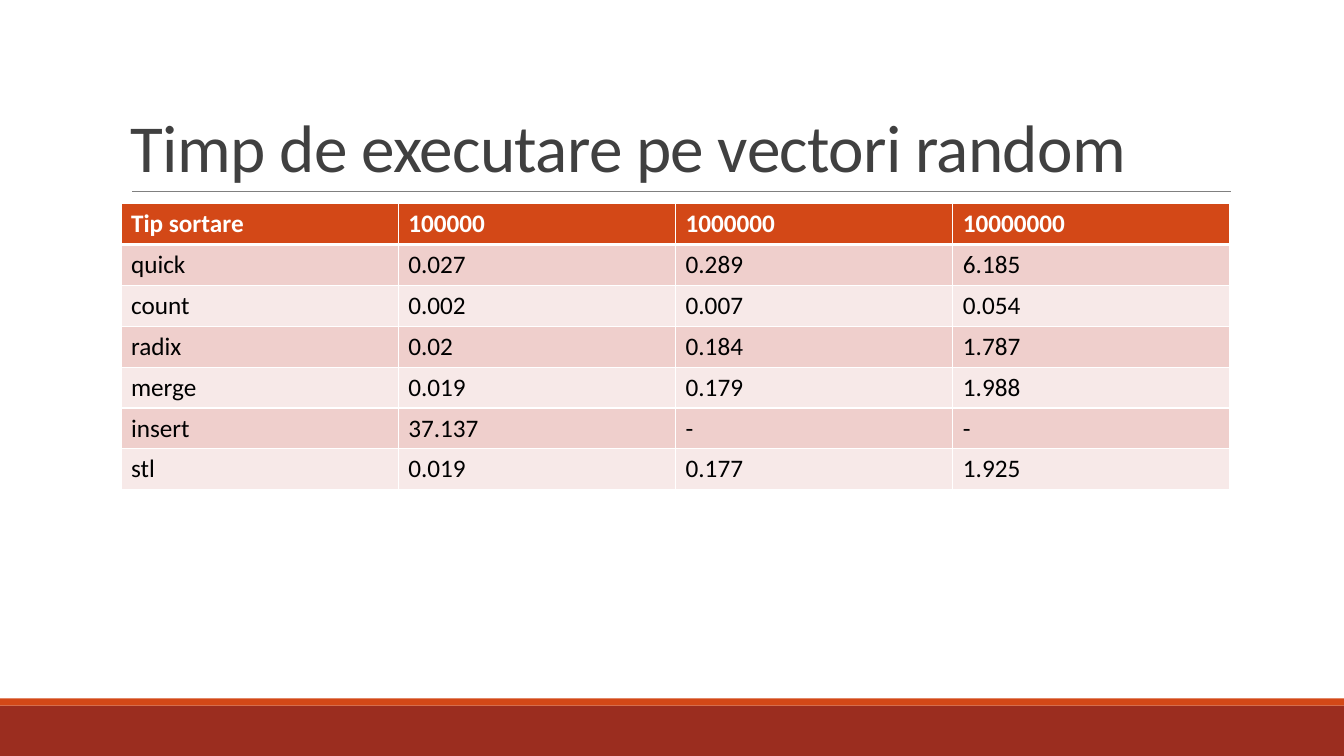
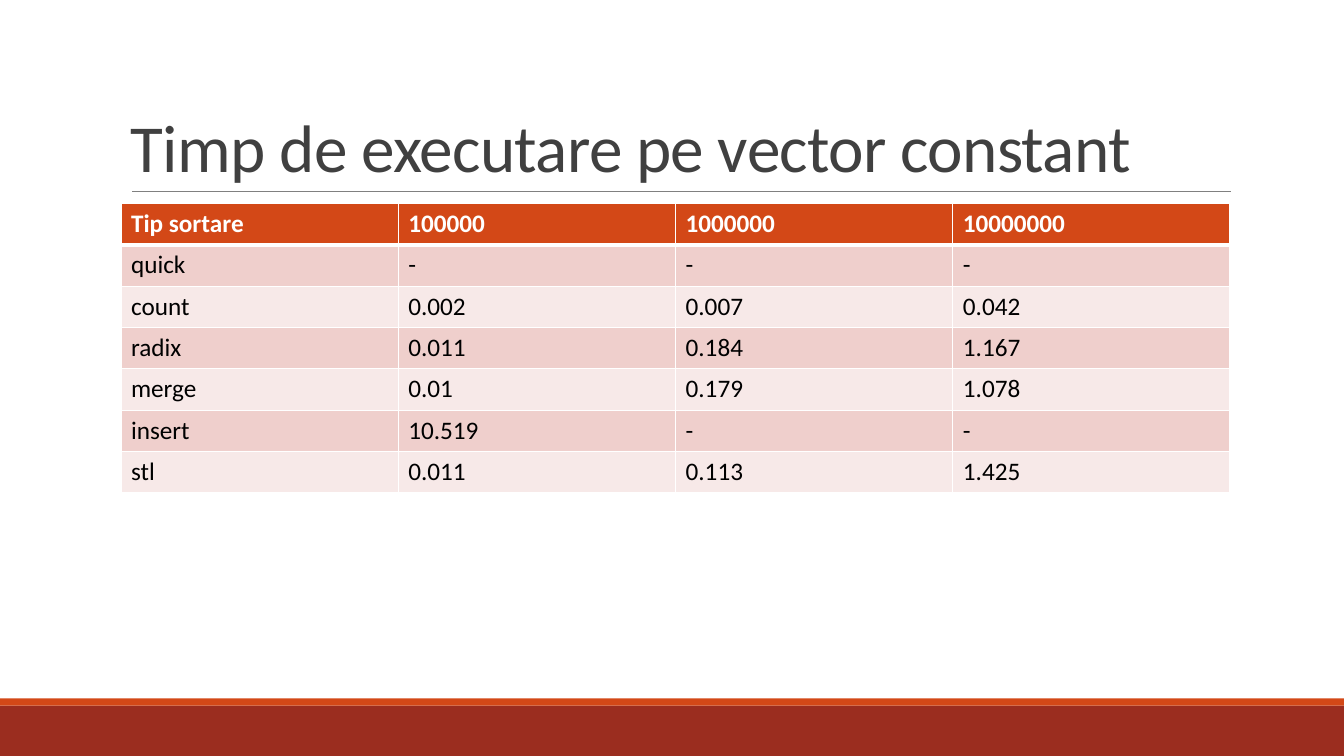
from lxml import etree
from pptx import Presentation
from pptx import util as u
from pptx.dml.color import RGBColor
from pptx.enum import shapes, text
from pptx.oxml.ns import qn

WIDTH, HEIGHT = 13.33, 7.5
LEFT, CONTENT_WIDTH = 1.2, 11
FONT = "Calibri"
WHITE, BLACK, TITLE_GREY, RULE_GREY = "FFFFFF", "000000", "404040", "808080"
ORANGE, RED = "D34817", "9B2D1F"
ROW_FILLS = ["F7E9E8", "EFCFCC"]

HEADER = ["Tip sortare", "100000", "1000000", "10000000"]
SLIDES = [
    ("Timp de executare pe vectori random", 2.84, [
        ["quick", "0.027", "0.289", "6.185"],
        ["count", "0.002", "0.007", "0.054"],
        ["radix", "0.02", "0.184", "1.787"],
        ["merge", "0.019", "0.179", "1.988"],
        ["insert", "37.137", "-", "-"],
        ["stl", "0.019", "0.177", "1.925"],
    ]),
    ("Timp de executare pe vector constant", 2.87, [
        ["quick", "-", "-", "-"],
        ["count", "0.002", "0.007", "0.042"],
        ["radix", "0.011", "0.184", "1.167"],
        ["merge", "0.01", "0.179", "1.078"],
        ["insert", "10.519", "-", "-"],
        ["stl", "0.011", "0.113", "1.425"],
    ]),
]


def rgb(value):
    return RGBColor.from_string(value)


def box(*lengths):
    return [u.Inches(n) for n in lengths]


def add_run(p, content, size, color, bold=False):
    r = p.add_run()
    r.text = content
    r.font.name = FONT
    r.font.size = u.Pt(size)
    r.font.bold = bold
    r.font.color.rgb = rgb(color)
    return r


def add_band(s, top, height, color):
    sp = s.shapes.add_shape(shapes.MSO_SHAPE.RECTANGLE, *box(0, top, WIDTH, height))
    sp.shadow.inherit = False
    sp.fill.solid()
    sp.fill.fore_color.rgb = rgb(color)
    sp.line.fill.background()


def add_rule(s, left, right, top):
    line = s.shapes.add_connector(shapes.MSO_CONNECTOR.STRAIGHT, *box(left, top, right, top))
    line.line.color.rgb = rgb(RULE_GREY)
    line.line.width = u.Pt(0.5)
    etree.SubElement(line._element.spPr, qn("a:effectLst"))


def add_title(s, content):
    tf = s.shapes.add_textbox(*box(LEFT, 0.31, CONTENT_WIDTH, 1.59)).text_frame
    tf.word_wrap = True
    tf.vertical_anchor = text.MSO_ANCHOR.BOTTOM
    p = tf.paragraphs[0]
    p.line_spacing = 0.85
    r = add_run(p, content, 48, TITLE_GREY)
    r.font._element.set("spc", "-50")


def add_border(cell, side, width):
    ln = etree.SubElement(cell._tc.get_or_add_tcPr(), qn("a:ln" + side), w=str(u.Pt(width)))
    fill = etree.SubElement(ln, qn("a:solidFill"))
    etree.SubElement(fill, qn("a:srgbClr"), val=WHITE)


def style_cell(cell, content, row):
    heading = row == 0
    widths = {"L": 1, "R": 1, "T": 3 if row == 1 else 1, "B": 3 if heading else 1}
    for side, width in widths.items():
        add_border(cell, side, width)
    cell.fill.solid()
    cell.fill.fore_color.rgb = rgb(ORANGE if heading else ROW_FILLS[row % 2])
    add_run(cell.text_frame.paragraphs[0], content, 18, WHITE if heading else BLACK, heading)


def add_timings(s, height, rows):
    rows = [HEADER] + rows
    frame = s.shapes.add_table(len(rows), len(HEADER), *box(LEFT, 2.02, CONTENT_WIDTH, height))
    for i, values in enumerate(rows):
        for j, value in enumerate(values):
            style_cell(frame.table.cell(i, j), value, i)


def add_slide(prs, title):
    s = prs.slides.add_slide(prs.slide_layouts[6])
    add_band(s, 7, 0.5, RED)
    add_band(s, 6.93, 0.07, ORANGE)
    add_rule(s, 1.31, 12.21, 1.9)
    add_title(s, title)
    return s


def main():
    prs = Presentation()
    prs.slide_width, prs.slide_height = box(WIDTH, HEIGHT)
    for title, height, rows in SLIDES:
        add_timings(add_slide(prs, title), height, rows)
    prs.save("out.pptx")


main()
